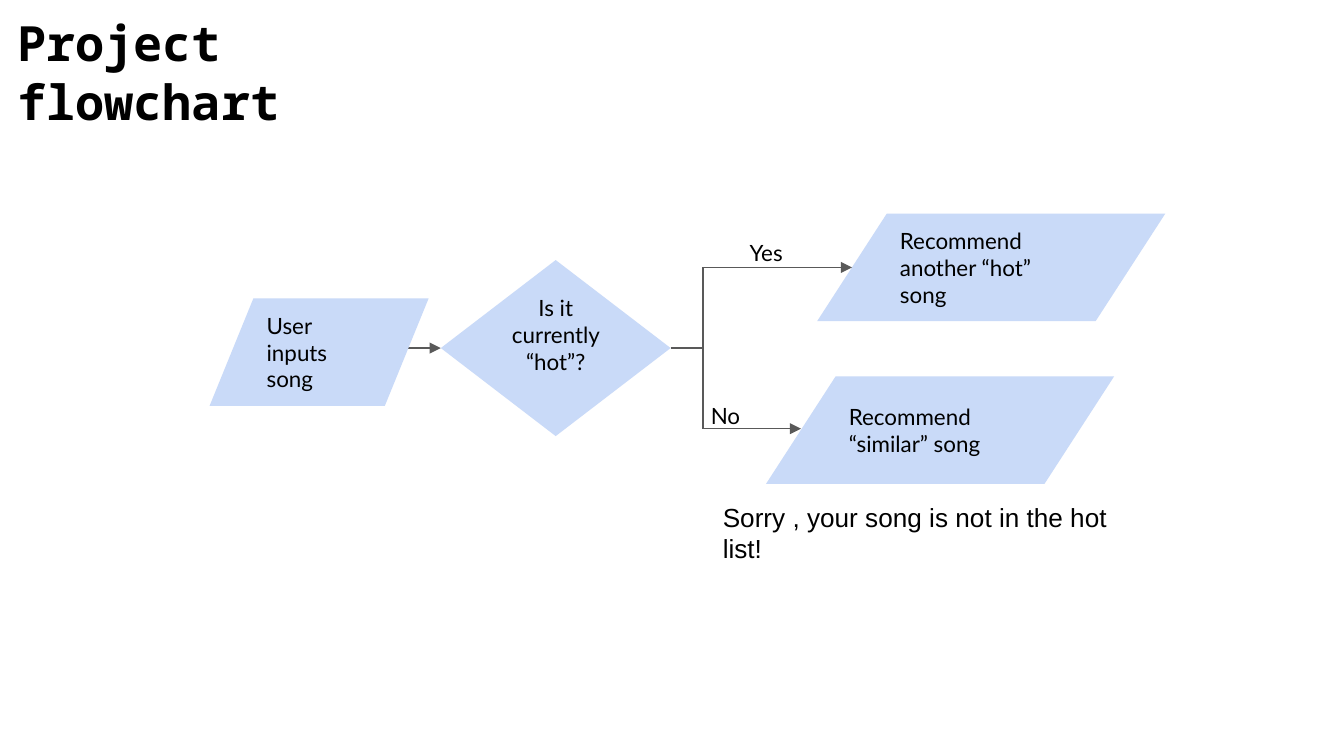
from lxml import etree
from pptx import Presentation
from pptx.dml.color import RGBColor
from pptx.enum.shapes import MSO_CONNECTOR, MSO_SHAPE
from pptx.enum.text import MSO_ANCHOR, PP_ALIGN
from pptx.oxml.ns import qn
from pptx.util import Inches, Pt

STRAIGHT = MSO_CONNECTOR.STRAIGHT
DATA = MSO_SHAPE.FLOWCHART_DATA
DIAMOND = MSO_SHAPE.DIAMOND
MIDDLE = MSO_ANCHOR.MIDDLE
TOP = MSO_ANCHOR.TOP
LEFT = PP_ALIGN.LEFT
CENTER = PP_ALIGN.CENTER

COLORS = {"fill": "C9DAF8", "line": "595959", "text": "000000"}
LEFT_SIDE, RIGHT_SIDE = 1, 3

# The grid has square cells of a tenth of an inch on a 16:9 slide.
COLUMNS, ROWS = 100, 56.25
MAIN_ROW, BRANCH_GAP = 25.9, 6
YES_ROW, NO_ROW = MAIN_ROW - BRANCH_GAP, MAIN_ROW + BRANCH_GAP
BRANCH_COLUMN = 52.3
STEP_HEIGHT = 8


def cells(count):
    return Inches(count / 10)


def color(name):
    return RGBColor.from_string(COLORS[name])


def write(shape, text, size, font, anchor=TOP, align=LEFT, bold=False):
    frame = shape.text_frame
    frame.word_wrap = True
    frame.vertical_anchor = anchor
    frame.margin_left = frame.margin_right = cells(1)
    frame.margin_top = frame.margin_bottom = cells(1)
    paragraph = frame.paragraphs[0]
    paragraph.text = text
    paragraph.alignment = align
    paragraph.font.size = Pt(size)
    paragraph.font.name = font
    paragraph.font.bold = bold
    paragraph.font.color.rgb = color("text")


def add_step(slide, kind, left, center_row, width, height, text, align=LEFT):
    """Add a flowchart step whose vertical centre lies on center_row."""
    box = (left, center_row - height / 2, width, height)
    shape = slide.shapes.add_shape(kind, *map(cells, box))
    shape.shadow.inherit = False
    shape.fill.solid()
    shape.fill.fore_color.rgb = color("fill")
    shape.line.fill.background()
    write(shape, text, 12, "Lato", MIDDLE, align)
    return shape


def add_text(slide, box, text, size=12, font="Lato", bold=False):
    shape = slide.shapes.add_textbox(*map(cells, box))
    write(shape, text, size, font, bold=bold)


def add_line(slide, start, end, arrow=False):
    connector = slide.shapes.add_connector(STRAIGHT, *map(cells, start + end))
    connector.line.color.rgb = color("line")
    connector.line.width = Pt(0.75)
    if arrow:
        line = connector.line._get_or_add_ln()
        etree.SubElement(line, qn("a:tailEnd"), type="triangle")
    etree.SubElement(connector._element.spPr, qn("a:effectLst"))
    return connector


def main():
    presentation = Presentation()
    presentation.slide_width = cells(COLUMNS)
    presentation.slide_height = cells(ROWS)
    slide = presentation.slides.add_slide(presentation.slide_layouts[6])

    add_step(slide, DATA, 57, NO_ROW + 0.1, 25.9, STEP_HEIGHT, "Recommend “similar” song")
    add_step(slide, DATA, 60.8, YES_ROW, 25.9, STEP_HEIGHT, "Recommend another “hot” song")

    to_question = add_line(slide, (29.8, MAIN_ROW), (32.8, MAIN_ROW), arrow=True)
    from_question = add_line(slide, (49.9, MAIN_ROW), (BRANCH_COLUMN, MAIN_ROW))
    add_line(slide, (BRANCH_COLUMN, YES_ROW), (BRANCH_COLUMN, NO_ROW))
    add_line(slide, (BRANCH_COLUMN, YES_ROW), (63.4, YES_ROW), arrow=True)
    add_line(slide, (BRANCH_COLUMN, NO_ROW), (59.6, NO_ROW), arrow=True)

    add_step(slide, DATA, 15.6, MAIN_ROW + 0.3, 16.3, STEP_HEIGHT, "User inputs song")
    question = add_step(slide, DIAMOND, 32.8, MAIN_ROW, 17.1, 13.1,
                        "Is it currently “hot”?", CENTER)
    question.text_frame.margin_bottom = cells(3)  # lifts the text above the centre
    to_question.end_connect(question, LEFT_SIDE)
    from_question.begin_connect(question, RIGHT_SIDE)

    add_text(slide, (54.8, 16.8, 5.1, 3.5), "Yes")
    add_text(slide, (51.9, 28.9, 5.1, 3.5), "No")
    add_text(slide, (0.3, 0, 31.1, 11.1), "Project flowchart", 26, "Noto Sans Mono", bold=True)
    add_text(slide, (52.8, 36.3, 32.6, 6.7), "Sorry , your song is not in the hot list!", 14, "Arial")

    presentation.save("out.pptx")


if __name__ == "__main__":
    main()
